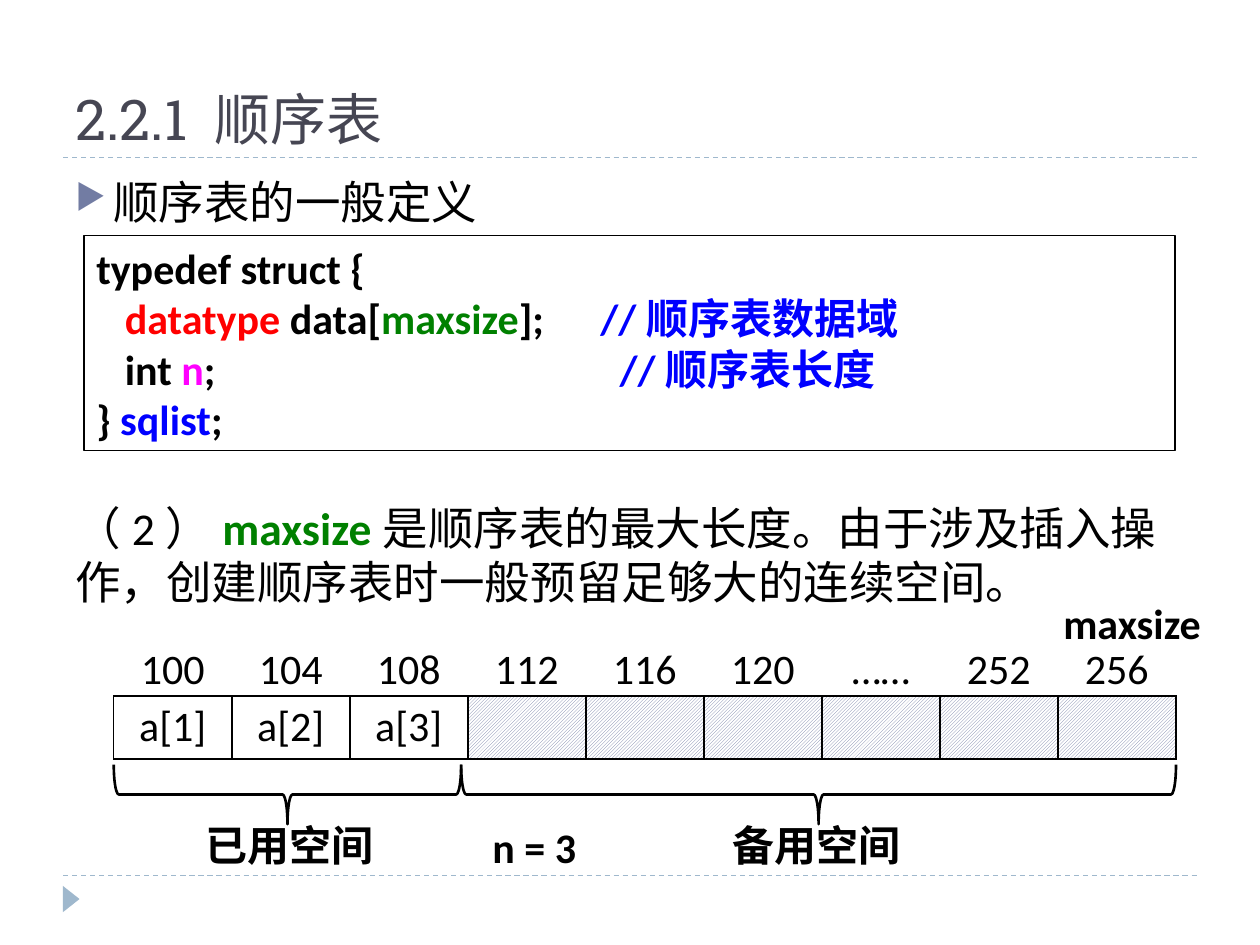
from lxml import etree
from pptx import Presentation
from pptx import util as u
from pptx.dml.color import RGBColor
from pptx.enum import dml, shapes, text
from pptx.oxml import ns

Pt = u.Pt
BODY, HEAD = "Calibri", "Roboto Slab"
BLACK, WHITE, BLUE, GREEN = "000000", "FFFFFF", "0000FF", "008000"
RED, MAGENTA, SLATE, ACCENT, PALE = "FF0000", "FF00FF", "464653", "727CA3", "9FB8CD"


def rgb(value):
    return RGBColor.from_string(value)


def sub(parent, tag, **attrs):
    return etree.SubElement(parent, ns.qn(tag), attrs)


def add_runs(p, runs, size, bold=False, font=BODY):
    """Each run is (text, colour) or (text, colour, bold)."""
    for words, colour, *weight in runs:
        r = p.add_run()
        r.text = words
        r.font.name, r.font.size = font, Pt(size)
        r.font.bold = weight[0] if weight else bold
        r.font.color.rgb = rgb(colour)


def add_text(s, box, runs, size, bold=False, font=BODY, wrap=True,
             anchor=text.MSO_ANCHOR.TOP):
    tf = s.shapes.add_textbox(*map(Pt, box)).text_frame
    tf.word_wrap, tf.vertical_anchor = wrap, anchor
    add_runs(tf.paragraphs[0], runs, size, bold, font)
    return tf.paragraphs[0]


def add_bullet(p, char, colour, indent):
    pPr = p._p.get_or_add_pPr()
    pPr.set("marL", str(Pt(indent)))
    pPr.set("indent", str(-Pt(indent)))
    sub(sub(pPr, "a:buClr"), "a:srgbClr", val=colour)
    sub(pPr, "a:buSzPct", val="76000")
    sub(pPr, "a:buChar", char=char)


def add_tab(p, pos):
    tabs = sub(p._p.get_or_add_pPr(), "a:tabLst")
    sub(tabs, "a:tab", pos=str(Pt(pos)), algn="l")


def add_shape(s, kind, box, fill=None, line=None, width=0.75, rotation=0):
    sp = s.shapes.add_shape(kind, *map(Pt, box))
    sp.shadow.inherit = False
    sp.rotation = rotation
    if fill:
        sp.fill.solid()
        sp.fill.fore_color.rgb = rgb(fill)
    else:
        sp.fill.background()
    if line:
        sp.line.color.rgb = rgb(line)
        sp.line.width = Pt(width)
    else:
        sp.line.fill.background()
    return sp


def add_rule(s, y):
    ln = s.shapes.add_connector(shapes.MSO_CONNECTOR.STRAIGHT,
                                Pt(36), Pt(y), Pt(684), Pt(y))
    ln.line.color.rgb = rgb(PALE)
    ln.line.width = Pt(0.75)
    ln.line.dash_style = dml.MSO_LINE.DASH
    sub(ln._element.spPr, "a:effectLst")


def add_brace(s, left, right, top, depth=34):
    """A right brace turned to point down, spanning left to right."""
    span = right - left
    box = ((left + right - depth) / 2, top + (depth - span) / 2, depth, span)
    add_shape(s, shapes.MSO_SHAPE.RIGHT_BRACE, box, line=BLACK, width=1.5, rotation=90)


def add_code(s, box, lines):
    sp = add_shape(s, shapes.MSO_SHAPE.RECTANGLE, box, line=BLACK)
    tf = sp.text_frame
    tf.word_wrap, tf.vertical_anchor = True, text.MSO_ANCHOR.MIDDLE
    for i, (tab, runs) in enumerate(lines):
        p = tf.add_paragraph() if i else tf.paragraphs[0]
        p.alignment = text.PP_ALIGN.LEFT
        if tab:
            add_tab(p, tab)
        add_runs(p, runs, 24, bold=True)


def set_borders(cell, sides):
    tcPr = cell._tc.get_or_add_tcPr()
    for i, side in enumerate(sides):
        ln = etree.Element(ns.qn("a:ln" + side), w=str(Pt(1)))
        sub(sub(ln, "a:solidFill"), "a:srgbClr", val=BLACK)
        tcPr.insert(i, ln)


def fill_cell(cell, words, sides, hatched=False):
    cell.vertical_anchor = text.MSO_ANCHOR.MIDDLE
    if hatched:
        cell.fill.patterned()
        cell.fill.pattern = dml.MSO_PATTERN.LIGHT_UPWARD_DIAGONAL
        cell.fill.fore_color.rgb = rgb(ACCENT)
        cell.fill.back_color.rgb = rgb(WHITE)
    else:
        cell.fill.solid()
        cell.fill.fore_color.rgb = rgb(WHITE)
    set_borders(cell, sides)
    p = cell.text_frame.paragraphs[0]
    p.alignment = text.PP_ALIGN.CENTER
    if words:
        add_runs(p, [(words, BLACK)], 24)


def add_memory(s, box, addresses, items):
    n = len(addresses)
    table = s.shapes.add_table(2, n, *map(Pt, box)).table
    table.first_row = table.horz_banding = False
    for col in table.columns:
        col.width = Pt(box[2] / n)
    for row, height in zip(table.rows, (29, 36)):
        row.height = Pt(height)
    for i, address in enumerate(addresses):
        top = table.cell(0, i)
        top.margin_left = top.margin_right = top.margin_top = top.margin_bottom = 0
        fill_cell(top, address, "B")
        used = i < len(items)
        fill_cell(table.cell(1, i), items[i] if used else "", "LRTB", not used)


def main():
    prs = Presentation()
    prs.slide_width, prs.slide_height = Pt(720), Pt(540)
    s = prs.slides.add_slide(prs.slide_layouts[6])

    # Frame: dashed rules and corner marker
    add_rule(s, 500.4)
    add_rule(s, 90)
    add_shape(s, shapes.MSO_SHAPE.ISOSCELES_TRIANGLE, (33.2, 509, 15, 9.5),
              fill=PALE, rotation=90)

    # Title and body text
    add_text(s, (36, 12, 648, 78), [("2.2.1 顺序表", SLATE)], 32, font=HEAD,
             anchor=text.MSO_ANCHOR.BOTTOM)
    p = add_text(s, (36, 96, 648, 38), [("顺序表的一般定义", BLACK)], 26)
    add_bullet(p, "▶", ACCENT, 21.6)
    add_text(s, (36, 282, 648, 70),
             [("（2）", BLACK), ("maxsize", GREEN, True),
              ("是顺序表的最大长度。由于涉及插入操作，创建顺序表时一般预留足够大的连续空间。", BLACK)], 26)

    # Type definition
    add_code(s, (48, 134.5, 623.5, 123), [
        (None, [("typedef struct {", BLACK)]),
        (288, [("   ", BLACK), ("datatype", RED), (" data[", BLACK), ("maxsize", GREEN),
               ("];\t", BLACK), ("//顺序表数据域", BLUE)]),
        (299, [("   int ", BLACK), ("n", MAGENTA), (";\t", BLACK), ("//顺序表长度", BLUE)]),
        (None, [("} ", BLACK), ("sqlist", BLUE), (";", BLACK)]),
    ])

    # Memory layout
    left, right, split = 65, 672, 263.5
    add_memory(s, (left, 368.6, right - left, 65),
               ["100", "104", "108", "112", "116", "120", "……", "252", "256"],
               ["a[1]", "a[2]", "a[3]"])
    add_brace(s, left, split, 437)
    add_brace(s, split, right, 437)

    # Labels
    for words, x, y, w in (("已用空间", 110.2, 465, 111.6), ("备用空间", 411.8, 465, 112.3),
                           ("maxsize", 600.5, 337.7, 94.3), ("n = 3", 274.3, 466, 62.6)):
        add_text(s, (x, y, w, 36.7), [(words, BLACK)], 24, bold=True, wrap=False)

    prs.save("out.pptx")


if __name__ == "__main__":
    main()
